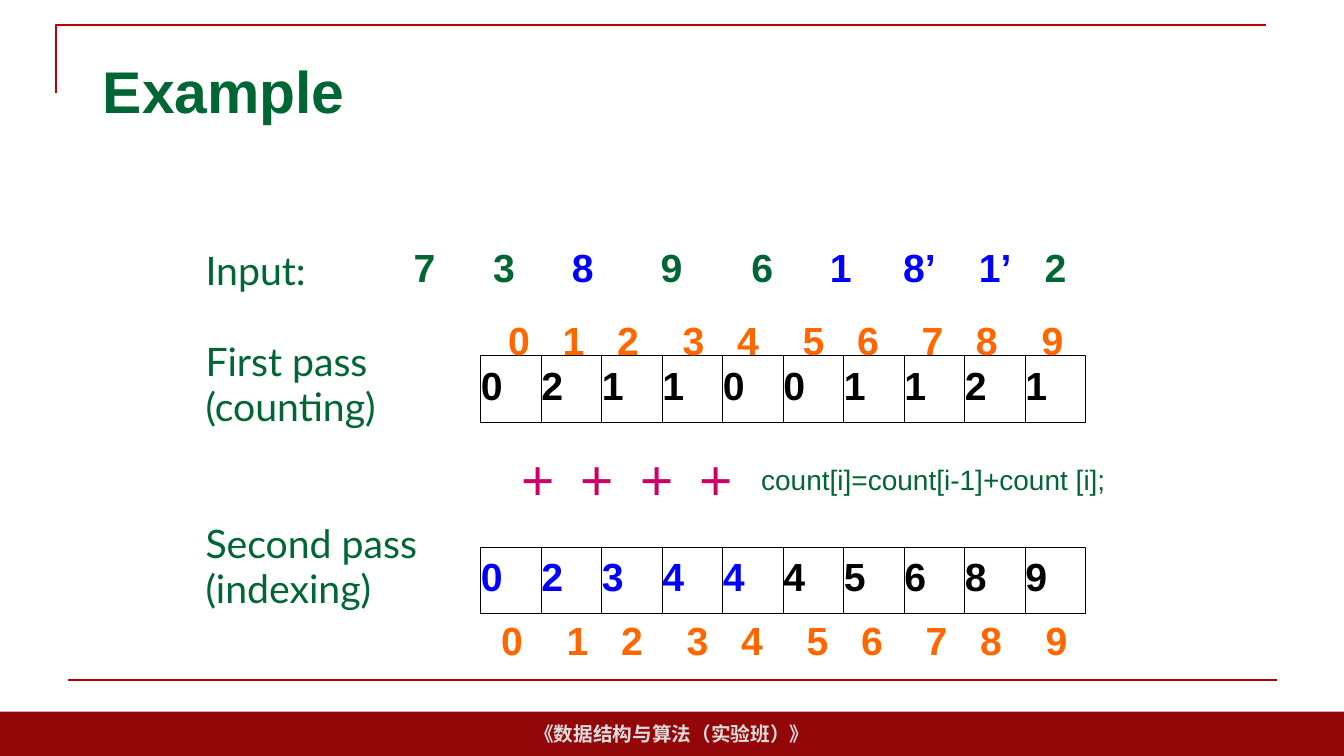
from lxml import etree
from pptx import Presentation
from pptx.dml.color import RGBColor
from pptx.enum.shapes import MSO_CONNECTOR, MSO_SHAPE
from pptx.enum.text import MSO_ANCHOR, PP_ALIGN
from pptx.oxml.ns import qn
from pptx.util import Inches, Pt

RECT, STRAIGHT = MSO_SHAPE.RECTANGLE, MSO_CONNECTOR.STRAIGHT
TOP, MIDDLE = MSO_ANCHOR.TOP, MSO_ANCHOR.MIDDLE
LEFT, CENTER = PP_ALIGN.LEFT, PP_ALIGN.CENTER

GREEN = RGBColor(0x00, 0x66, 0x33)
BLUE = RGBColor(0x00, 0x00, 0xFF)
ORANGE = RGBColor(0xFF, 0x66, 0x00)
PINK = RGBColor(0xCC, 0x00, 0x66)
BLACK = RGBColor(0x00, 0x00, 0x00)
WHITE = RGBColor(0xFF, 0xFF, 0xFF)
GRAY = RGBColor(0xDD, 0xDD, 0xDD)
RED = RGBColor(0xC0, 0x00, 0x00)
DARK_RED = RGBColor(0x94, 0x07, 0x09)

WIDTH, HEIGHT = 13.33, 7.5
CELL_W, CELL_H = 0.6, 0.66
INDEX_CENTERS = [1.18, 1.72, 2.37, 2.91, 3.56, 4.1, 4.74, 5.28, 5.93]


def format_paragraph(p, size, color, bold=True, font="Arial", align=LEFT, spacing=0.8):
    p.alignment = align
    p.line_spacing = spacing
    for r in p.runs:
        r.font.name = font
        r.font.size = Pt(size)
        r.font.bold = bold
        r.font.color.rgb = color


def add_text(s, box, text, size, color, **style):
    tf = s.shapes.add_textbox(*map(Inches, box)).text_frame
    tf.word_wrap = True
    tf.text = text
    format_paragraph(tf.paragraphs[0], size, color, **style)
    return tf


def add_box(s, box, fill, text, size, color, **style):
    sp = s.shapes.add_shape(RECT, *map(Inches, box))
    sp.shadow.inherit = False
    sp.fill.solid()
    sp.fill.fore_color.rgb = fill
    sp.line.fill.background()
    tf = sp.text_frame
    tf.word_wrap = False
    tf.vertical_anchor = MIDDLE
    tf.margin_left = tf.margin_right = 0
    tf.text = text
    format_paragraph(tf.paragraphs[0], size, color, **style)
    return sp


def add_frame(s):
    """Red corner, bottom rule and footer band."""
    add_box(s, (0, 7.06, WIDTH, HEIGHT - 7.06), DARK_RED, "《数据结构与算法（实验班）》",
            14, GRAY, align=CENTER, spacing=1)
    fb = s.shapes.build_freeform(Inches(0.56), Inches(0.92))
    fb.add_line_segments([(Inches(0.56), Inches(0.25)), (Inches(12.56), Inches(0.25))],
                         close=False)
    corner = fb.convert_to_shape()
    corner.shadow.inherit = False
    corner.fill.background()
    rule = s.shapes.add_connector(STRAIGHT, *map(Inches, (0.67, 6.75, 12.67, 6.75)))
    etree.SubElement(rule._element.spPr, qn("a:effectLst"))
    for sp in (corner, rule):
        sp.line.color.rgb = RED
        sp.line.width = Pt(1.5)


def add_title(s, box, text):
    title = s.shapes.title
    title.left, title.top, title.width, title.height = map(Inches, box)
    tf = title.text_frame
    tf.vertical_anchor = MIDDLE
    tf.text = text
    format_paragraph(tf.paragraphs[0], 42, GREEN, spacing=1)


def add_row_labels(s, box, labels):
    """Labels are pairs of text and space before in points."""
    tf = add_text(s, box, "\n".join(text for text, _ in labels), 28, GREEN)
    tf.vertical_anchor = MIDDLE
    for p, (_, before) in zip(tf.paragraphs, labels):
        format_paragraph(p, 28, GREEN, bold=False, font="Lato")
        p.space_before = Pt(before)


def add_input(s, top, items):
    """Items are triples of text, centre and colour."""
    for text, center, color in items:
        add_text(s, (center - 0.34, top, 0.68, 0.48), text, 28, color, align=CENTER)


def add_cells(s, left, top, values, blue_count=0):
    for i, value in enumerate(values):
        color = BLUE if i < blue_count else BLACK
        cell = add_box(s, (left + i * CELL_W, top, CELL_W, CELL_H), WHITE, value, 28, color)
        cell.line.color.rgb = BLACK
        cell.line.width = Pt(0.75)


def add_indices(s, left, top, first_center):
    """Digits 0 to 9 on centred tab stops."""
    tf = add_text(s, (left, top, 6.3, 0.48), "".join(f"\t{i}" for i in range(10)), 28, ORANGE)
    tabs = etree.SubElement(tf.paragraphs[0]._p.get_or_add_pPr(), qn("a:tabLst"))
    for center in [first_center] + INDEX_CENTERS:
        etree.SubElement(tabs, qn("a:tab"), pos=str(Inches(center)), algn="ctr")


def add_sum_rule(s, left, top):
    for i in range(4):
        add_text(s, (left + i * 0.59, top, 0.59, 0.48), "＋", 28, PINK, align=CENTER)
    add_text(s, (left + 2.41, top - 0.04, 3.71, 0.44), "count[i]=count[i-1]+count [i];",
             20, GREEN, bold=False, spacing=1)


def main():
    prs = Presentation()
    prs.slide_width, prs.slide_height = Inches(WIDTH), Inches(HEIGHT)
    s = prs.slides.add_slide(prs.slide_layouts[5])
    add_frame(s)
    add_title(s, (0.92, 0.4, 11.5, 0.99), "Example")
    add_row_labels(s, (1.94, 2.41, 4.11, 3.78), [
        ("Input:", 0), ("First pass", 38), ("(counting)", 5.6),
        ("Second pass", 70.6), ("(indexing)", 5.6)])
    add_input(s, 2.45, [
        ("7", 4.21, GREEN), ("3", 5, GREEN), ("8", 5.78, BLUE), ("9", 6.66, GREEN),
        ("6", 7.56, GREEN), ("1", 8.34, BLUE), ("8’", 9.12, BLUE), ("1’", 9.87, BLUE),
        ("2", 10.47, GREEN)])
    add_cells(s, 4.77, 3.53, "0211001121")
    add_cells(s, 4.77, 5.43, "0234445689", blue_count=5)
    add_indices(s, 4.41, 3.18, 0.64)
    add_indices(s, 4.45, 6.15, 0.53)
    add_sum_rule(s, 5.04, 4.58)
    prs.save("out.pptx")


if __name__ == "__main__":
    main()
